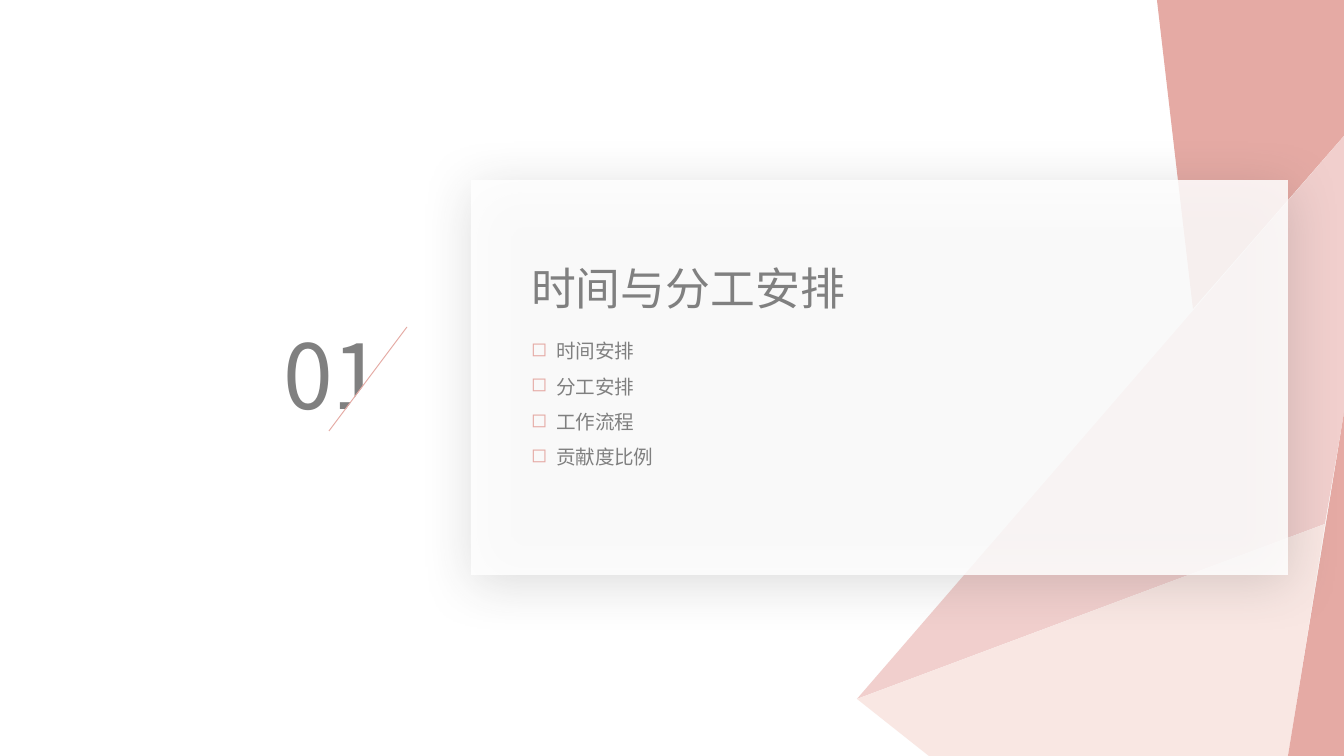
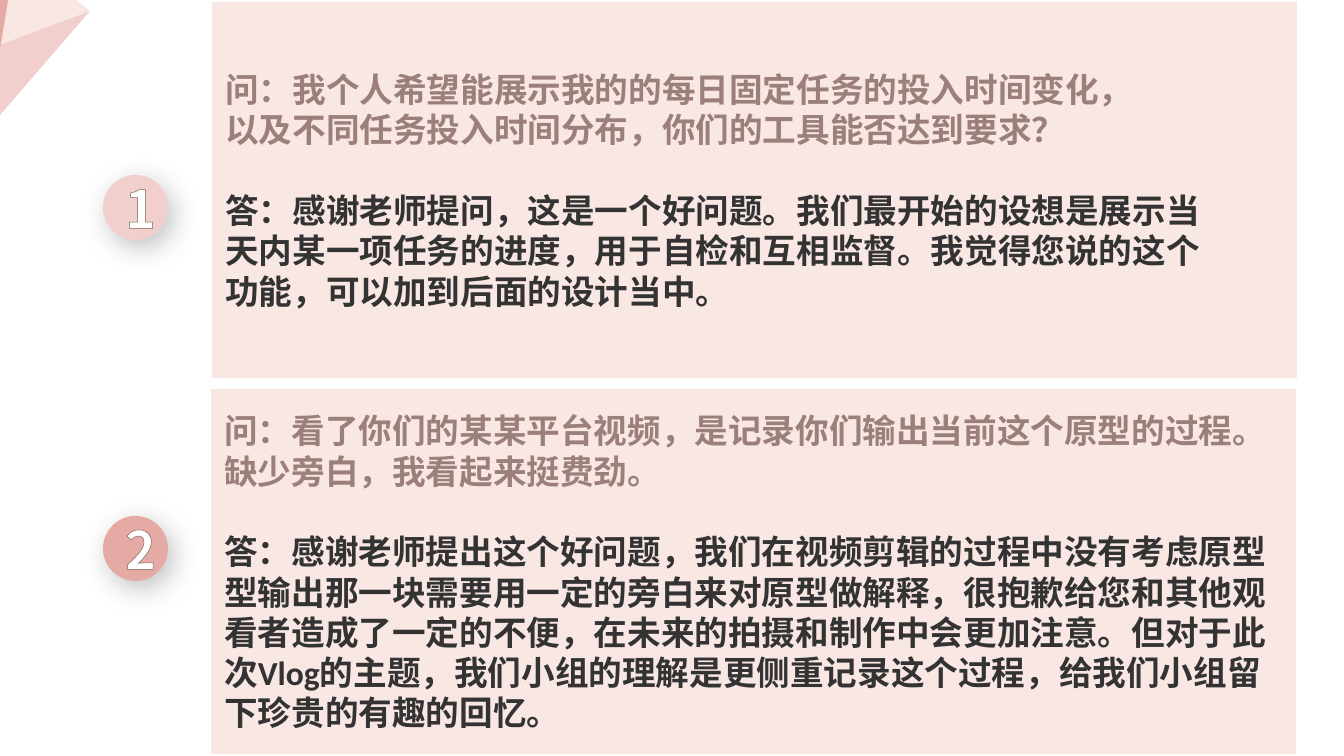
import pptx
import pptx.dml.color
import pptx.enum.shapes
import pptx.enum.text
import pptx.oxml
import pptx.oxml.ns
import pptx.util
from lxml import etree

PX = 914400 / 134.4
WIDTH, HEIGHT = 1344, 756
SANS, LATIN = "Noto Sans CJK SC", "Calibri"
ROSE, PINK, BLUSH, WHITE = "E5AAA4", "F1CFCD", "F9E7E3", "FFFFFF"
GREY, INK, MAUVE, OUTLINE = "808080", "333333", "9B7F7B", "756359"

FACETS = [
    (PINK, [(0, 0), (468, -175), (487, -286), (487, -563)]),
    (BLUSH, [(0, 0), (72, 57), (431, 57), (468, -175)]),
    (ROSE, [(431, 57), (487, 57), (487, -286)]),
]
TOPICS = ["时间安排", "分工安排", "工作流程", "贡献度比例"]
ANSWERED = [
    (PINK, (212, 2, 1085, 376), 175,
     ["问：我个人希望能展示我的的每日固定任务的投入时间变化，",
      "以及不同任务投入时间分布，你们的工具能否达到要求？"],
     ["答：感谢老师提问，这是一个好问题。我们最开始的设想是展示当",
      "天内某一项任务的进度，用于自检和互相监督。我觉得您说的这个",
      "功能，可以加到后面的设计当中。"]),
    (ROSE, (211, 389, 1085, 365), 516,
     ["问：看了你们的某某平台视频，是记录你们输出当前这个原型的过程。",
      "缺少旁白，我看起来挺费劲。"],
     ["答：感谢老师提出这个好问题，我们在视频剪辑的过程中没有考虑原型",
      "型输出那一块需要用一定的旁白来对原型做解释，很抱歉给您和其他观",
      "看者造成了一定的不便，在未来的拍摄和制作中会更加注意。但对于此",
      "次Vlog的主题，我们小组的理解是更侧重记录这个过程，给我们小组留",
      "下珍贵的有趣的回忆。"]),
]


def px(length):
    """Turn pixels into EMU."""
    return pptx.util.Emu(round(length * PX))


def rgb(color):
    """Turn a hex string into a colour."""
    return pptx.dml.color.RGBColor.from_string(color)


def child(parent, tag, **attributes):
    """Append a DrawingML element."""
    return etree.SubElement(parent, pptx.oxml.ns.qn(tag), **attributes)


def paint(shape, color):
    """Give a shape a plain fill without line or shadow."""
    shape.shadow.inherit = False
    shape.fill.solid()
    shape.fill.fore_color.rgb = rgb(color)
    shape.line.fill.background()
    return shape


def add_block(slide, kind, box, color):
    """Add a painted preset shape."""
    kind = getattr(pptx.enum.shapes.MSO_SHAPE, kind)
    return paint(slide.shapes.add_shape(kind, *map(px, box)), color)


def cast_shadow(shape, opacity, blur, distance, angle):
    """Give a shape a soft outer shadow."""
    effects = shape._element.spPr.find(pptx.oxml.ns.qn("a:effectLst"))
    shadow = child(effects, "a:outerShdw", blurRad=str(blur * 12700),
                   dist=str(distance * 12700), dir=str(angle * 60000),
                   algn="ctr", rotWithShape="0")
    tint = child(shadow, "a:srgbClr", val=INK)
    child(tint, "a:alpha", val=str(opacity * 1000))


def add_run(paragraph, text, size, color, font=SANS, bold=False):
    """Add one run with its font."""
    run = paragraph.add_run()
    run.text = text
    run.font.size = pptx.util.Pt(size)
    run.font.bold = bold
    run.font.name = font
    run.font.color.rgb = rgb(color)
    child(run._r.get_or_add_rPr(), "a:ea", typeface=font)
    return run


def write_lines(frame, lines, size, color, font=SANS, bold=False):
    """Write each line as a paragraph and return the paragraphs."""
    written = []
    for line in lines:
        paragraph = frame.paragraphs[0]
        if paragraph.runs:
            paragraph = frame.add_paragraph()
        paragraph.alignment = pptx.enum.text.PP_ALIGN.LEFT
        add_run(paragraph, line, size, color, font, bold)
        written.append(paragraph)
    return written


def add_label(slide, box, lines, size):
    """Add a grey text box and return its paragraphs."""
    frame = slide.shapes.add_textbox(*map(px, box)).text_frame
    frame.word_wrap = True
    return write_lines(frame, lines, size, GREY)


def draw_facet(slide, color, points):
    """Draw one filled polygon."""
    points = [(round(x * PX), round(y * PX)) for x, y in points]
    outline = slide.shapes.build_freeform(*points[0])
    outline.add_line_segments(points[1:], close=True)
    paint(outline.convert_to_shape(), color)


def draw_facets(slide, tip, scale=1):
    """Draw the facet cluster scaled about its tip."""
    for color, offsets in FACETS:
        draw_facet(slide, color, [(tip[0] + x * scale, tip[1] + y * scale)
                                  for x, y in offsets])


def draw_chapter_number(slide, left, top, number):
    """Draw the large number cut by a diagonal line."""
    add_label(slide, (left, top, 132, 122), [number], 48)
    cut = add_block(slide, "RIGHT_TRIANGLE", (left + 46, top + 27, 105, 78), WHITE)
    cut.rotation = 270
    slash = slide.shapes.add_connector(
        pptx.enum.shapes.MSO_CONNECTOR.STRAIGHT,
        px(left + 137), px(top + 14), px(left + 59), px(top + 118))
    slash.line.color.rgb = rgb(ROSE)
    slash.line.width = pptx.util.Pt(0.5)
    child(slash._element.spPr, "a:effectLst")


def draw_chapter_card(slide, box, title, topics):
    """Draw the translucent card with its title and topics."""
    left, top = box[:2]
    card = add_block(slide, "RECTANGLE", box, WHITE)
    fill = card._element.spPr.find(pptx.oxml.ns.qn("a:solidFill"))
    child(fill[0], "a:alpha", val="85000")
    cast_shadow(card, 20, 29, 5, 77)
    add_label(slide, (left + 47, top + 74, 400, 67), [title], 24)
    for topic in add_label(slide, (left + 47, top + 141, 336, 156), topics, 10.5):
        topic.line_spacing = 1.5
        properties = topic._p.get_or_add_pPr()
        properties.set("marL", str(px(25)))
        properties.set("indent", str(px(-25)))
        child(child(properties, "a:buClr"), "a:srgbClr", val=ROSE)
        child(properties, "a:buChar", char="◻")


def draw_badge(slide, left, top, number, color):
    """Draw a round badge with an outlined number."""
    badge = add_block(slide, "OVAL", (left, top, 65, 65), color)
    cast_shadow(badge, 30, 15, 5, 55)
    frame = badge.text_frame
    frame.margin_left, frame.margin_right = px(10), 0
    frame.vertical_anchor = pptx.enum.text.MSO_ANCHOR.MIDDLE
    paragraph = frame.paragraphs[0]
    paragraph.alignment = pptx.enum.text.PP_ALIGN.CENTER
    digit = add_run(paragraph, number, 28, WHITE, bold=True)
    properties = digit._r.get_or_add_rPr()
    edge = child(properties, "a:ln", w="10160")
    child(child(edge, "a:solidFill"), "a:srgbClr", val=OUTLINE)
    properties.insert(0, edge)


def draw_answered(slide, box, question, answer):
    """Draw a panel with a question and its answer."""
    frame = add_block(slide, "RECTANGLE", box, BLUSH).text_frame
    frame.word_wrap = True
    frame.margin_right = 0
    frame.vertical_anchor = pptx.enum.text.MSO_ANCHOR.MIDDLE
    write_lines(frame, question, 18, MAUVE, LATIN, True)
    reply = write_lines(frame, answer, 18, INK, LATIN, True)
    reply[0].space_before = pptx.util.Pt(21.6)


def build_chapter(slide):
    """Build the chapter opening."""
    draw_facet(slide, ROSE, [(1193, 309), (1157, 0), (WIDTH, 0), (WIDTH, 136)])
    draw_facets(slide, (857, 699))
    draw_chapter_card(slide, (471, 180, 817, 395), "时间与分工安排", TOPICS)
    draw_chapter_number(slide, 270, 313, "01")


def build_questions(slide):
    """Build the questions and answers."""
    draw_facets(slide, (90, 11), -0.19)
    for number, (color, box, badge_top, question, answer) in enumerate(ANSWERED, 1):
        draw_answered(slide, box, question, answer)
        draw_badge(slide, 103, badge_top, str(number), color)


def main():
    """Build and save the presentation."""
    deck = pptx.Presentation()
    deck.slide_width, deck.slide_height = px(WIDTH), px(HEIGHT)
    for build in (build_chapter, build_questions):
        slide = deck.slides.add_slide(deck.slide_layouts[6])
        slide.background.fill.solid()
        slide.background.fill.fore_color.rgb = rgb(WHITE)
        build(slide)
    deck.save("out.pptx")


if __name__ == "__main__":
    main()
